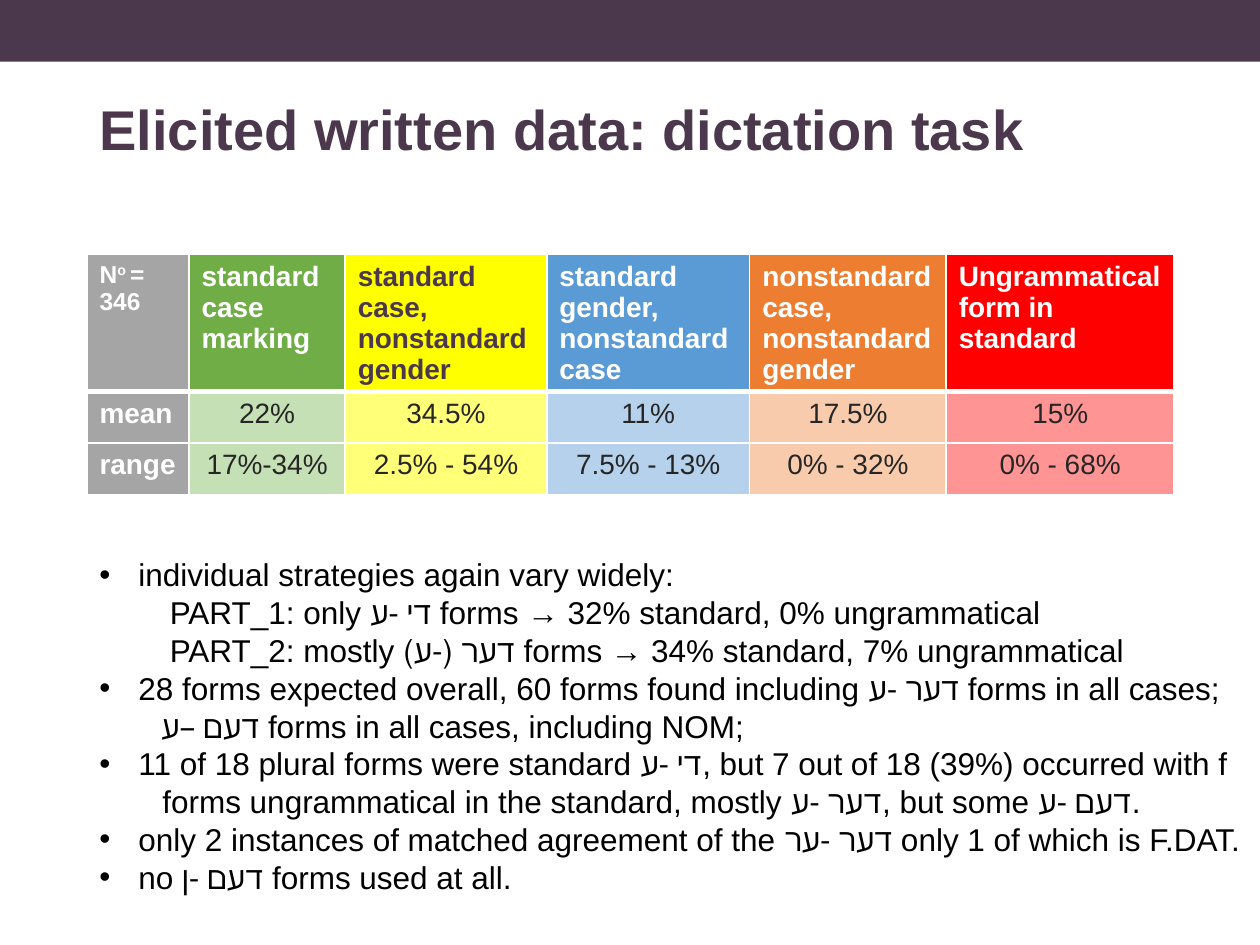
from lxml.etree import SubElement
from pptx import Presentation
from pptx.dml.color import RGBColor
from pptx.enum.shapes import MSO_SHAPE as Shape
from pptx.enum.text import MSO_ANCHOR as Anchor, MSO_AUTO_SIZE as AutoSize, PP_ALIGN as Align
from pptx.oxml import parse_xml
from pptx.oxml.ns import nsdecls, qn
from pptx.util import Inches, Pt

PLUM = RGBColor(0x4B, 0x38, 0x4C)
WHITE = RGBColor(0xFF, 0xFF, 0xFF)
BLACK = RGBColor(0x00, 0x00, 0x00)
DARK = RGBColor(0x26, 0x26, 0x26)
GRAY = RGBColor(0xA5, 0xA5, 0xA5)
GREEN = RGBColor(0x70, 0xAD, 0x47)
PALE_GREEN = RGBColor(0xC5, 0xE0, 0xB4)
YELLOW = RGBColor(0xFF, 0xFF, 0x00)
BLUE = RGBColor(0x5B, 0x9B, 0xD5)
ORANGE = RGBColor(0xED, 0x7D, 0x31)
PALE_ORANGE = RGBColor(0xF8, 0xCB, 0xAD)
RED = RGBColor(0xFF, 0x00, 0x00)


def style_runs(para, size, color, bold=False):
    for span in para.runs:
        span.font.name = "Arial"
        span.font.size = Pt(size)
        span.font.bold = bold
        span.font.color.rgb = color


def paint_cell(cell, color, opacity, top, bottom):
    cell.fill.solid()
    cell.fill.fore_color.rgb = color
    properties = cell._tc.get_or_add_tcPr()
    if opacity < 100:
        shade = properties.find(".//" + qn("a:srgbClr"))
        SubElement(shade, qn("a:alpha")).set("val", str(opacity * 1000))
    for place, (side, width) in enumerate([("L", 1), ("R", 1), ("T", top), ("B", bottom)]):
        properties.insert(place, parse_xml(
            f'<a:ln{side} {nsdecls("a")} w="{Pt(width)}"><a:solidFill>'
            f'<a:srgbClr val="{WHITE}"/></a:solidFill></a:ln{side}>'))


deck = Presentation()
deck.slide_width = Inches(10)
deck.slide_height = Inches(7.5)
page = deck.slides.add_slide(deck.slide_layouts[5])

banner = page.shapes.add_shape(Shape.RECTANGLE, 0, 0, Inches(10), Inches(0.49))
banner.shadow.inherit = False
banner.fill.solid()
banner.fill.fore_color.rgb = PLUM
banner.line.fill.background()

title = page.shapes.title
title.left, title.top = Inches(0.69), Inches(0.76)
title.width, title.height = Inches(8.62), Inches(0.99)
title.text_frame.text = "Elicited written data: dictation task"
title.text_frame.auto_size = AutoSize.NONE
title.text_frame.vertical_anchor = Anchor.TOP
heading = title.text_frame.paragraphs[0]
heading.alignment = Align.LEFT
heading.line_spacing = 0.9
style_runs(heading, 32, PLUM, True)

columns = [
    (0.81, GRAY, GRAY, 100, ["", "mean", "range"]),
    (1.24, GREEN, PALE_GREEN, 100, ["standard case marking", "22%", "17%-34%"]),
    (1.6, YELLOW, YELLOW, 53, ["standard case, nonstandard gender", "34.5%", "2.5% - 54%"]),
    (1.61, BLUE, BLUE, 45, ["standard gender, nonstandard case", "11%", "7.5% - 13%"]),
    (1.56, ORANGE, PALE_ORANGE, 100, ["nonstandard case, nonstandard gender", "17.5%", "0% - 32%"]),
    (1.81, RED, RED, 42, ["Ungrammatical form in standard", "15%", "0% - 68%"]),
]
table = page.shapes.add_table(
    3, len(columns), Inches(0.69), Inches(2.02), Inches(8.62), Inches(1.89)).table
for row, height in zip(table.rows, [1.07, 0.41, 0.41]):
    row.height = Inches(height)
for column, (width, head_color, body_color, opacity, texts) in enumerate(columns):
    table.columns[column].width = Inches(width)
    for row, text in enumerate(texts):
        cell = table.cell(row, column)
        is_label = row == 0 or column == 0
        if row == 0:
            paint_cell(cell, head_color, 100, 1, 3)
        else:
            paint_cell(cell, body_color, opacity, 3 if row == 1 else 1, 1)
        cell.text_frame.text = text
        para = cell.text_frame.paragraphs[0]
        para.alignment = Align.LEFT if is_label else Align.CENTER
        label_color = PLUM if head_color == YELLOW else WHITE
        style_runs(para, 16, label_color if is_label else DARK, is_label)

count = table.cell(0, 0).text_frame.paragraphs[0]
for text in ["N", "o ", "= 346"]:
    count.add_run().text = text
style_runs(count, 14, WHITE, True)
count.runs[1]._r.get_or_add_rPr().set("baseline", "30000")

findings = [
    ("•", "individual strategies again vary widely:", 0.31),
    ("", "PART_1: only די -ע forms → 32% standard, 0% ungrammatical", 0.56),
    ("", "PART_2: mostly דער (-ע) forms → 34% standard, 7% ungrammatical", 0.56),
    ("•", "28 forms expected overall, 60 forms found including דער -ע forms in all cases;", 0.31),
    ("", "דעם –ע forms in all cases, including NOM;", 0.49),
    ("•", "11 of 18 plural forms were standard די -ע, but 7 out of 18 (39%) occurred with f", 0.31),
    ("", "forms ungrammatical in the standard, mostly דער -ע, but some דעם -ע.", 0.5),
    ("•", "only 2 instances of matched agreement of the דער -ער only 1 of which is F.DAT.", 0.31),
    ("•", "no דעם -ן forms used at all.", 0.31),
]
box = page.shapes.add_textbox(Inches(0.69), Inches(4.36), Inches(9.34), Inches(2.83))
frame = box.text_frame
frame.word_wrap = False
frame.auto_size = AutoSize.SHAPE_TO_FIT_TEXT
frame.text = "\n".join(text for _, text, _ in findings)
for para, (bullet, _, margin) in zip(frame.paragraphs, findings):
    para.alignment = Align.LEFT
    properties = para._p.get_or_add_pPr()
    properties.set("marL", str(Inches(margin)))
    properties.set("indent", str(-Inches(margin) if bullet else 0))
    if bullet:
        SubElement(properties, qn("a:buFont")).set("typeface", "Arial")
        SubElement(properties, qn("a:buChar")).set("char", bullet)
    style_runs(para, 18, BLACK)

deck.save("out.pptx")
